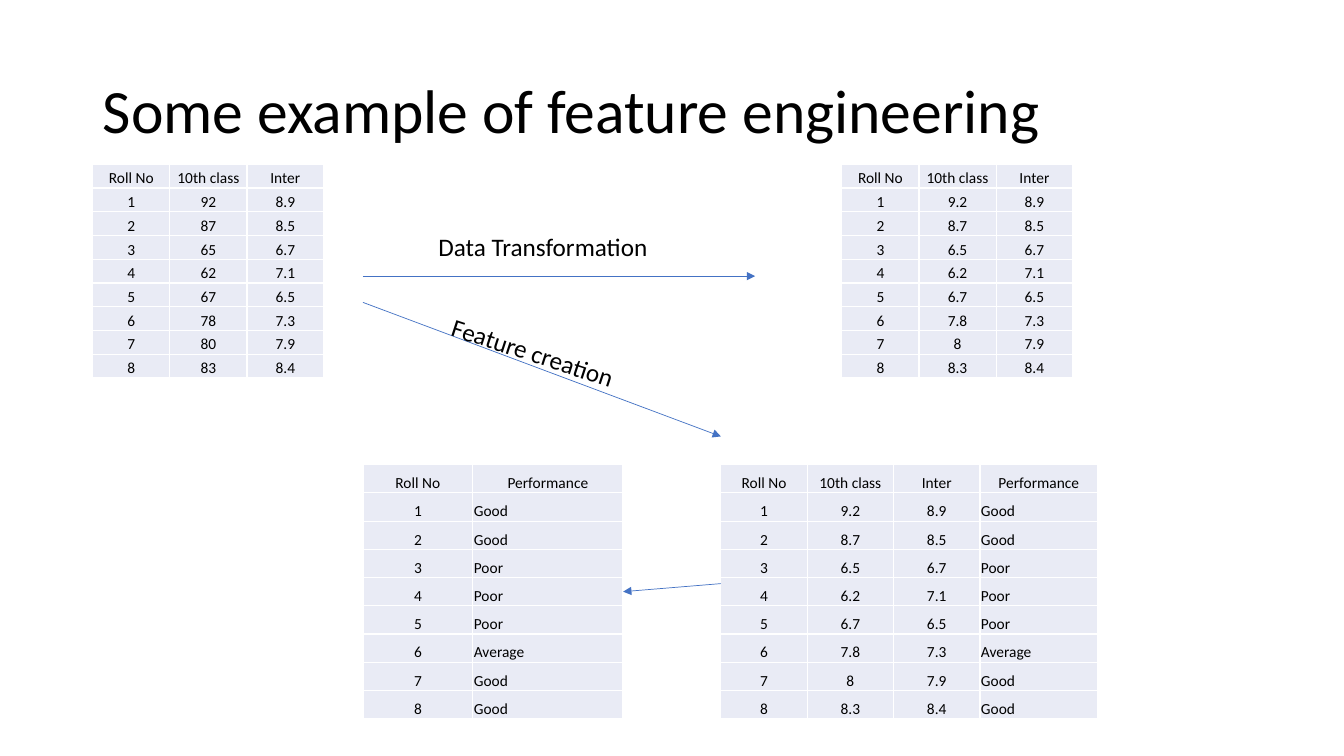
from dataclasses import dataclass

from lxml.etree import SubElement
from pptx import Presentation
from pptx.dml.color import RGBColor as RGB
from pptx.enum.shapes import MSO_CONNECTOR as CONN
from pptx.enum.text import MSO_ANCHOR as ANCHOR, MSO_AUTO_SIZE as AUTO, PP_ALIGN as ALIGN
from pptx.oxml.ns import qn
from pptx.util import Pt

PX = 9144


@dataclass(frozen=True)
class Theme:
    font: str = "Calibri"
    text: str = "000000"
    cell: str = "E9EBF5"
    border: str = "FFFFFF"
    arrow: str = "4472C4"
    title_size: int = 44
    label_size: int = 18
    cell_size: int = 11
    border_width: float = 1
    arrow_width: float = 0.5


THEME = Theme()

ROLLS = [str(n) for n in range(1, 9)]
MARKS = [92, 87, 65, 62, 67, 78, 80, 83]
INTER = ["8.9", "8.5", "6.7", "7.1", "6.5", "7.3", "7.9", "8.4"]
GRADES = ["Good", "Good", "Poor", "Poor", "Poor", "Average", "Good", "Good"]

ROLL_COL = ["Roll No", *ROLLS]
MARK_COL = ["10th class", *map(str, MARKS)]
SCALED_COL = ["10th class", *(f"{mark / 10:g}" for mark in MARKS)]
INTER_COL = ["Inter", *INTER]
GRADE_COL = ["Performance", *GRADES]


def px(*lengths):
    return [round(length * PX) for length in lengths]


def add_run(p, text, size):
    r = p.add_run()
    r.text = text
    r.font.name = THEME.font
    r.font.size = Pt(size)
    r.font.color.rgb = RGB.from_string(THEME.text)


def add_title(slide, box, text):
    sp = slide.shapes.title
    sp.left, sp.top, sp.width, sp.height = px(*box)
    tf = sp.text_frame
    tf.auto_size = AUTO.NONE
    tf.vertical_anchor = ANCHOR.MIDDLE
    p = tf.paragraphs[0]
    p.alignment = ALIGN.LEFT
    p.line_spacing = 0.9
    add_run(p, text, THEME.title_size)


def add_label(slide, box, text, rotation=0):
    sp = slide.shapes.add_textbox(*px(*box))
    sp.rotation = rotation
    tf = sp.text_frame
    tf.word_wrap = True
    tf.auto_size = AUTO.SHAPE_TO_FIT_TEXT
    add_run(tf.paragraphs[0], text, THEME.label_size)


def add_arrow(slide, start, end):
    line = slide.shapes.add_connector(CONN.STRAIGHT, *px(*start, *end))
    line.line.color.rgb = RGB.from_string(THEME.arrow)
    line.line.width = Pt(THEME.arrow_width)
    SubElement(line.line._get_or_add_ln(), qn("a:tailEnd"), type="triangle")
    SubElement(line._element.spPr, qn("a:effectLst"))


def format_cell(cell, text, align):
    tc_pr = cell._tc.get_or_add_tcPr()
    for side in ("lnL", "lnR", "lnT", "lnB"):
        ln = SubElement(tc_pr, qn(f"a:{side}"), w=str(Pt(THEME.border_width)))
        SubElement(SubElement(ln, qn("a:solidFill")), qn("a:srgbClr"), val=THEME.border)
    cell.fill.solid()
    cell.fill.fore_color.rgb = RGB.from_string(THEME.cell)
    cell.margin_left, cell.margin_top, cell.margin_right, cell.margin_bottom = px(1, 1, 1, 0)
    cell.vertical_anchor = ANCHOR.BOTTOM
    p = cell.text_frame.paragraphs[0]
    p.alignment = align
    add_run(p, text, THEME.cell_size)


def add_data_table(slide, box, columns, last_width):
    n_rows, n_cols = len(columns[0]), len(columns)
    width, height = box[2:]
    table = slide.shapes.add_table(n_rows, n_cols, *px(*box)).table
    table.first_row = table.horz_banding = False
    widths = [(width - last_width) / (n_cols - 1)] * (n_cols - 1) + [last_width]
    for col, col_width in zip(table.columns, px(*widths)):
        col.width = col_width
    for row in table.rows:
        row.height = px(height / n_rows)[0]
    for j, values in enumerate(columns):
        for i, text in enumerate(values):
            align = ALIGN.LEFT if text in GRADES else ALIGN.CENTER
            format_cell(table.cell(i, j), text, align)


def build_slide(prs):
    slide = prs.slides.add_slide(prs.slide_layouts[5])
    add_title(slide, (92, 40, 1150, 145), "Some example of feature engineering")
    add_data_table(slide, (92, 163, 229, 212), [ROLL_COL, MARK_COL, INTER_COL], 76)
    add_data_table(slide, (835, 163, 229, 212), [ROLL_COL, SCALED_COL, INTER_COL], 76)
    add_data_table(slide, (715, 461, 374, 252),
                   [ROLL_COL, SCALED_COL, INTER_COL, GRADE_COL], 117)
    add_data_table(slide, (360, 461, 258, 252), [ROLL_COL, GRADE_COL], 149)
    add_arrow(slide, (360, 274), (749, 274))
    add_label(slide, (425, 225, 242, 40), "Data Transformation")
    add_arrow(slide, (360, 300), (715, 433))
    add_label(slide, (434, 338, 242, 40), "Feature creation", 18.1)
    add_arrow(slide, (715, 579), (618, 587))


def main():
    prs = Presentation()
    prs.slide_width, prs.slide_height = px(1333, 750)
    build_slide(prs)
    prs.save("out.pptx")


if __name__ == "__main__":
    main()
